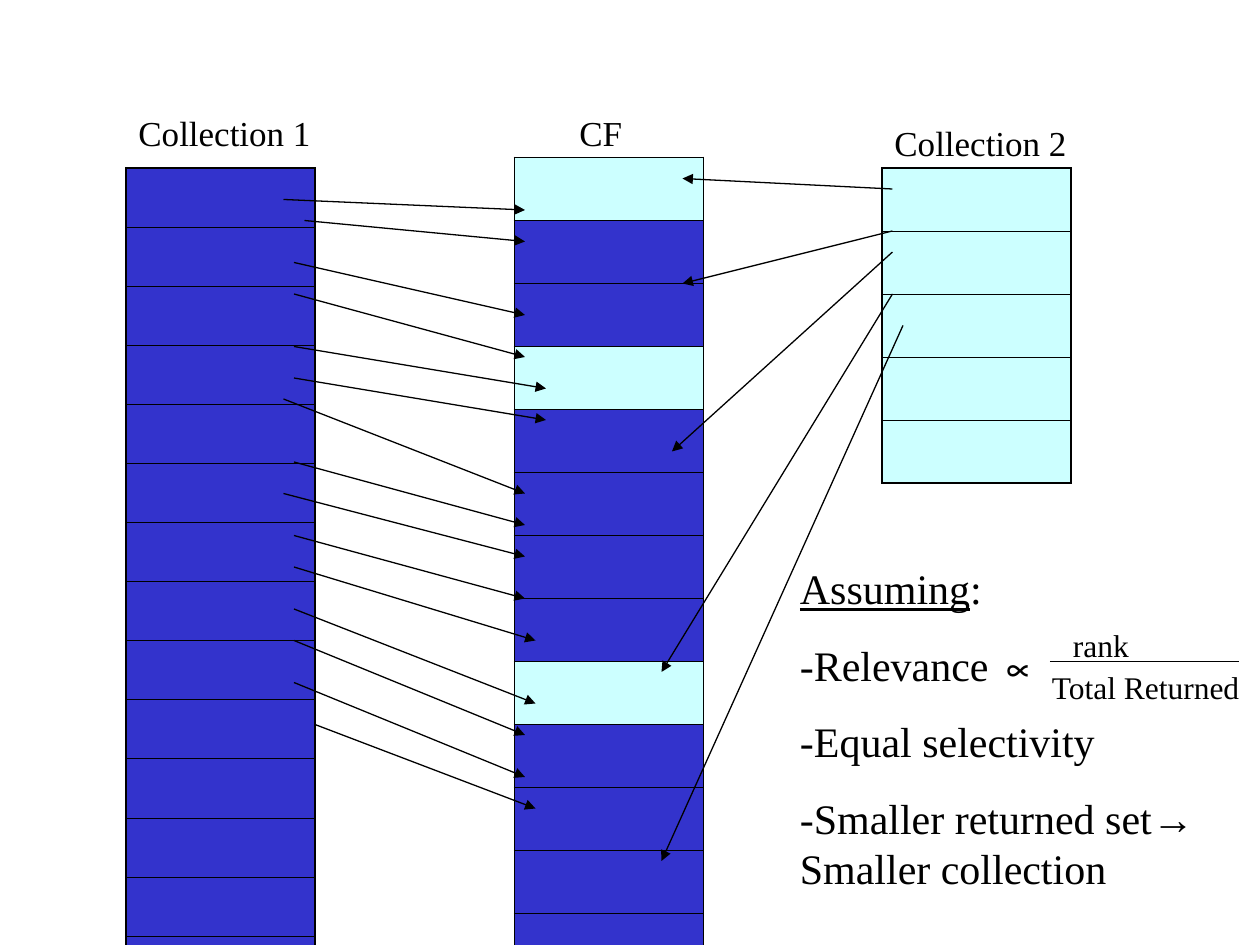
from lxml.etree import SubElement
from pptx import Presentation
from pptx.dml.color import RGBColor
from pptx.enum.shapes import MSO_CONNECTOR as Connector
from pptx.oxml.ns import qn
from pptx.util import Pt

COLORS = {"black": "000000", "blue": "3333CC", "cyan": "CCFFFF"}
SERIF = "Times New Roman"
SYMBOL = "Arial"
EDGE, INNER = 1.08, 0.45

COLLECTION_2_ARROWS = [
    (510, 108, 390, 102), (510, 132, 390, 162), (510, 144, 384, 258),
    (510, 168, 378, 384), (516, 186, 378, 492),
]
COLLECTION_1_ARROWS = [
    (162, 114, 300, 120), (174, 126, 300, 138), (168, 150, 300, 180),
    (168, 168, 300, 204), (168, 198, 312, 222), (168, 216, 312, 240),
    (162, 228, 300, 282), (168, 264, 300, 300), (162, 282, 300, 318),
    (168, 306, 300, 342), (168, 324, 306, 366), (168, 348, 306, 402),
    (168, 366, 300, 420), (168, 390, 300, 444), (180, 414, 306, 462),
]


def color(name):
    """Return the named colour."""
    return RGBColor.from_string(COLORS[name])


def add_border(cell, side, width):
    """Draw one side of a table cell in black."""
    properties = cell._tc.get_or_add_tcPr()
    line = SubElement(properties, qn(f"a:ln{side}"), w=str(Pt(width)))
    fill = SubElement(line, qn("a:solidFill"))
    SubElement(fill, qn("a:srgbClr"), val=COLORS["black"])


def add_stack(slide, left, top, row_height, fills):
    """Add a one-column table with one coloured cell for each fill."""
    count = len(fills)
    frame = slide.shapes.add_table(
        count, 1, Pt(left), Pt(top), Pt(108), Pt(row_height * count))
    table = frame.table
    table.first_row = table.horz_banding = False
    for index, fill in enumerate(fills):
        table.rows[index].height = Pt(row_height)
        cell = table.cell(index, 0)
        add_border(cell, "L", EDGE)
        add_border(cell, "R", EDGE)
        add_border(cell, "T", EDGE if index == 0 else INNER)
        add_border(cell, "B", EDGE if index == count - 1 else INNER)
        cell.fill.solid()
        cell.fill.fore_color.rgb = color(fill)


def add_run(paragraph, text, size=20, font=SERIF, underline=False):
    """Append formatted text to a paragraph."""
    run = paragraph.add_run()
    run.text = text
    run.font.size = Pt(size)
    run.font.name = font
    run.font.underline = underline
    run.font.color.rgb = color("black")


def add_text(slide, left, top, width, height, paragraphs, size=20, wrap=True, space=0):
    """Add a text box whose paragraphs are lists of (text, format) runs."""
    box = slide.shapes.add_textbox(Pt(left), Pt(top), Pt(width), Pt(height))
    frame = box.text_frame
    frame.word_wrap = wrap
    for index, runs in enumerate(paragraphs):
        paragraph = frame.add_paragraph() if index else frame.paragraphs[0]
        if index:
            paragraph.space_before = Pt(space)
        for text, options in runs:
            add_run(paragraph, text, size=size, **options)


def add_line(slide, x1, y1, x2, y2, arrow=True):
    """Add a thin black line, with an arrowhead at its end by default."""
    connector = slide.shapes.add_connector(
        Connector.STRAIGHT, Pt(x1), Pt(y1), Pt(x2), Pt(y2))
    connector.line.color.rgb = color("black")
    connector.line.width = Pt(0.75)
    properties = connector._element.spPr
    if arrow:
        SubElement(properties.find(qn("a:ln")), qn("a:tailEnd"), type="triangle")
    SubElement(properties, qn("a:effectLst"))


def add_assumptions(slide):
    """Add the list of assumptions with the relevance fraction."""
    symbol = {"font": SYMBOL}
    add_text(slide, 450, 318, 240, 196.5, [
        [("Assuming", {"underline": True}), (":", {})],
        [("-Relevance ", {}), ("∝", symbol)],
        [("-Equal selectivity", {})],
        [("-Smaller returned set", {}), ("→", symbol), (" Smaller collection", {})],
    ], size=24, space=15)
    add_text(slide, 606, 354, 60, 29, [[("rank", {})]], size=18)
    add_text(slide, 594, 378, 144, 29, [[("Total Returned", {})]], size=18)
    add_line(slide, 600, 378, 708, 378, arrow=False)


def main():
    """Build the slide and save it."""
    presentation = Presentation()
    presentation.slide_width, presentation.slide_height = Pt(720), Pt(540)
    slide = presentation.slides.add_slide(presentation.slide_layouts[6])

    merged = ["cyan" if row in (0, 3, 8, 14, 19) else "blue" for row in range(20)]
    add_stack(slide, 72, 96, 33.77, ["blue"] * 15)
    add_stack(slide, 294, 90, 36, merged)
    add_stack(slide, 504, 96, 36, ["cyan"] * 5)

    for label, left, top, width in (
            ("Collection 1", 72, 60, 113), ("CF", 324, 60, 39), ("Collection 2", 504, 66, 113)):
        add_text(slide, left, top, width, 31.5, [[(label, {})]], wrap=False)

    add_assumptions(slide)
    for ends in COLLECTION_2_ARROWS + COLLECTION_1_ARROWS:
        add_line(slide, *ends)
    presentation.save("out.pptx")


if __name__ == "__main__":
    main()
